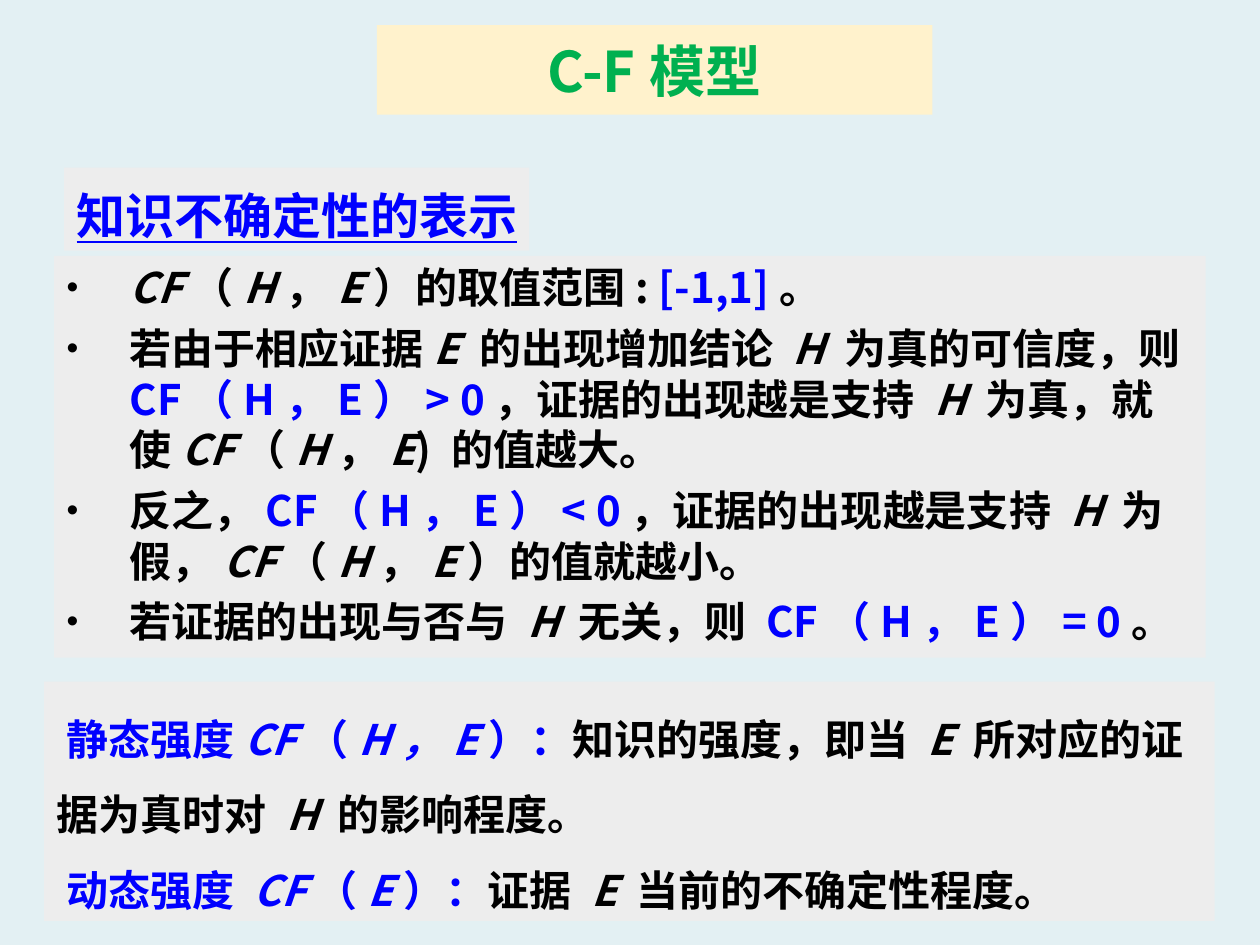
from lxml.etree import SubElement
from pptx import Presentation
from pptx.dml.color import RGBColor
from pptx.enum.shapes import MSO_SHAPE
from pptx.enum.text import MSO_ANCHOR, PP_ALIGN
from pptx.oxml.ns import qn
from pptx.util import Inches, Pt

FONT = "Noto Sans CJK SC"
COLORS = {
    "background": "E3F0F3",
    "title_band": "FFF2CC",
    "panel": "EDEDED",
    "title": "00B050",
    "key": "0000FF",
    "body": "000000",
}

HEADING = [("知识不确定性的表示", "ku")]
RULES = [
    [("CF", "i"), ("（", ""), ("H", "i"), ("，", ""), ("E", "i"),
     ("）的取值范围: ", ""), ("[-1,1]", "k"), ("。", "")],
    [("若由于相应证据", ""), ("E ", "i"), ("的出现增加结论 ", ""), ("H ", "i"),
     ("为真的可信度，则 ", ""), ("CF（H，E）> 0", "k"),
     ("，证据的出现越是支持 ", ""), ("H ", "i"), ("为真，就使", ""),
     ("CF", "i"), ("（", ""), ("H", "i"), ("，", ""), ("E", "i"),
     (") 的值越大。", "")],
    [("反之，", ""), ("CF（H，E）< 0", "k"), ("，证据的出现越是支持 ", ""),
     ("H ", "i"), ("为假，", ""), ("CF", "i"), ("（", ""), ("H", "i"),
     ("，", ""), ("E", "i"), ("）的值就越小。", "")],
    [("若证据的出现与否与 ", ""), ("H ", "i"), ("无关，则 ", ""),
     ("CF（H，E）= 0", "k"), ("。", "")],
]
STRENGTHS = [
    [(" 静态强度", "k"), ("CF", "ki"), ("（", "k"), ("H，E", "ki"),
     ("）：", "k"), ("知识的强度，即当 ", ""), ("E ", "i"),
     ("所对应的证据为真时对 ", ""), ("H ", "i"), ("的影响程度。", "")],
    [(" 动态强度 ", "k"), ("CF", "ki"), ("（", "k"), ("E", "ki"),
     ("）：", "k"), ("证据 ", ""), ("E ", "i"), ("当前的不确定性程度。", "")],
]


def paint(fill, color):
    fill.solid()
    fill.fore_color.rgb = RGBColor.from_string(COLORS[color])


def add_run(paragraph, text, size, color, italic=False, underline=False):
    run = paragraph.add_run()
    run.text = text
    font = run.font
    font.size = Pt(size)
    font.bold = True
    font.italic = italic
    font.underline = underline
    font.color.rgb = RGBColor.from_string(COLORS[color])
    font.name = FONT
    SubElement(run._r.get_or_add_rPr(), qn("a:ea"), typeface=FONT)


def add_bullet(paragraph):
    properties = paragraph._p.get_or_add_pPr()
    properties.set("marL", str(Inches(0.5)))
    properties.set("indent", str(Inches(-0.5)))
    bullet_color = SubElement(properties, qn("a:buClr"))
    SubElement(bullet_color, qn("a:srgbClr"), val=COLORS["body"])
    SubElement(properties, qn("a:buSzPct"), val="80000")
    SubElement(properties, qn("a:buFont"), typeface="Arial")
    SubElement(properties, qn("a:buChar"), char="•")


def add_title(slide, text):
    title = slide.shapes.title
    title.left, title.top = Inches(2.99), Inches(0.2)
    title.width, title.height = Inches(4.41), Inches(0.71)
    paint(title.fill, "title_band")
    title.text_frame.vertical_anchor = MSO_ANCHOR.MIDDLE
    paragraph = title.text_frame.paragraphs[0]
    paragraph.alignment = PP_ALIGN.CENTER
    add_run(paragraph, text, 32, "title")


def add_panel(slide, box, lines, size, spacing=1.0, gap=0, bullets=False, wrap=True):
    panel = slide.shapes.add_shape(MSO_SHAPE.RECTANGLE, *map(Inches, box))
    panel.shadow.inherit = False
    paint(panel.fill, "panel")
    panel.line.fill.background()
    frame = panel.text_frame
    frame.word_wrap = wrap
    frame.vertical_anchor = MSO_ANCHOR.TOP
    for index, runs in enumerate(lines):
        paragraph = frame.add_paragraph() if index else frame.paragraphs[0]
        paragraph.alignment = PP_ALIGN.LEFT
        paragraph.line_spacing = spacing
        paragraph.space_before = Pt(gap if index else 0)
        if bullets:
            add_bullet(paragraph)
        for text, style in runs:
            color = "key" if "k" in style else "body"
            add_run(paragraph, text, size, color, "i" in style, "u" in style)


def main():
    presentation = Presentation()
    presentation.slide_width, presentation.slide_height = Inches(10), Inches(7.5)
    slide = presentation.slides.add_slide(presentation.slide_layouts[5])
    paint(slide.background.fill, "background")
    add_title(slide, "C-F模型")
    add_panel(slide, (0.51, 1.33, 3.69, 0.66), [HEADING], 28, spacing=1.2, wrap=False)
    add_panel(slide, (0.43, 2.03, 9.14, 3.19), RULES, 24, gap=6, bullets=True)
    add_panel(slide, (0.35, 5.41, 9.29, 1.9), STRENGTHS, 24, spacing=1.5)
    presentation.save("out.pptx")


if __name__ == "__main__":
    main()
